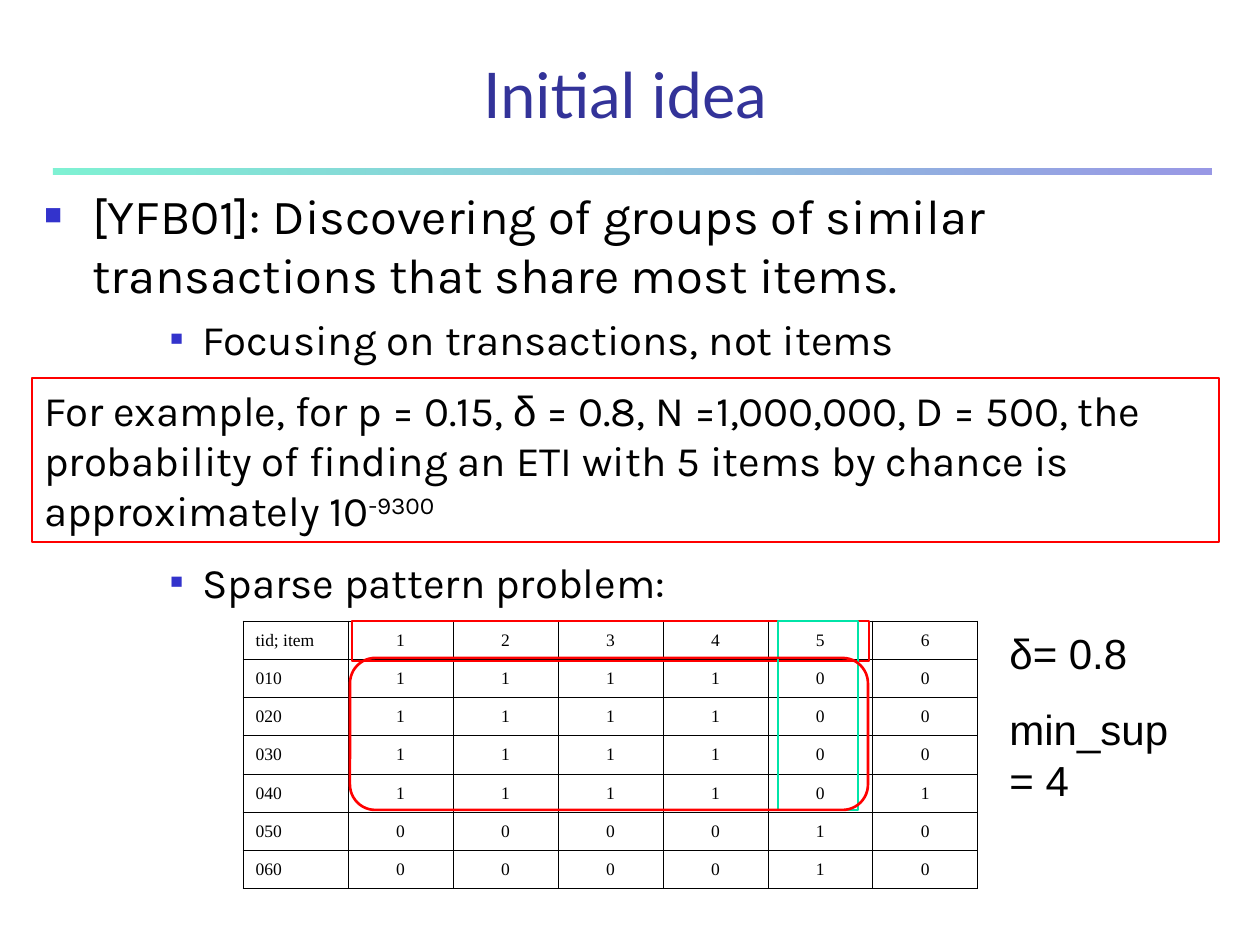
from lxml import etree
from pptx import Presentation
from pptx.dml.color import RGBColor
from pptx.enum.shapes import MSO_SHAPE
from pptx.enum.text import MSO_ANCHOR, MSO_AUTO_SIZE, PP_ALIGN
from pptx.oxml.ns import qn
from pptx.util import Pt

SCALE = 914400 / 126
RECTANGLE = MSO_SHAPE.RECTANGLE
ROUNDED = MSO_SHAPE.ROUNDED_RECTANGLE
LEFT, CENTER = PP_ALIGN.LEFT, PP_ALIGN.CENTER
TOP, MIDDLE, BOTTOM = MSO_ANCHOR.TOP, MSO_ANCHOR.MIDDLE, MSO_ANCHOR.BOTTOM
NO_FIT, GROW = MSO_AUTO_SIZE.NONE, MSO_AUTO_SIZE.SHAPE_TO_FIT_TEXT

BLACK = RGBColor(0x00, 0x00, 0x00)
RED = RGBColor(0xFF, 0x00, 0x00)
GREEN = RGBColor(0x00, 0xE4, 0xA8)
BLUE = RGBColor(0x33, 0x33, 0xCC)
INDIGO = RGBColor(0x33, 0x33, 0x99)

# text, size, left margin px, hanging px, bullet percent, space before pt
BULLETS = [
    ("[YFB01]: Discovering of groups of similar transactions that share most items.",
     28, 48, 48, 60, 0),
    ("Focusing on transactions, not items", 24, 158, 32, 50, 6),
    ("Sparse pattern problem:", 24, 158, 32, 50, 110),
]
TRANSACTIONS = [
    ("tid; item", *"123456"),
    ("010", *"111100"),
    ("020", *"111100"),
    ("030", *"111100"),
    ("040", *"111101"),
    ("050", *"000010"),
    ("060", *"000010"),
]
EXAMPLE = [
    ("For example, for p = 0.15, ", "Karla"),
    ("δ", "Arial"),
    (" = 0.8, N =1,000,000, D = 500, the probability of finding an ETI with 5 items "
     "by chance is approximately 10", "Karla"),
    ("-9300", "Karla"),
]


def px(length):
    return round(length * SCALE)


def emu(box):
    return [px(length) for length in box]


def style(font, name, size, color=BLACK):
    font.name, font.size, font.color.rgb = name, Pt(size), color


def add_outline(page, kind, box, color, width):
    shape = page.shapes.add_shape(kind, *emu(box))
    shape.shadow.inherit = False
    shape.fill.background()
    shape.line.color.rgb = color
    shape.line.width = Pt(width)
    return shape


def add_rule(page, box):
    rule = page.shapes.add_shape(RECTANGLE, *emu(box))
    rule.shadow.inherit = False
    rule.line.fill.background()
    rule.fill.gradient()
    rule.fill.gradient_angle = 0
    for stop, color in zip(rule.fill.gradient_stops, (GREEN, BLUE)):
        stop.color.rgb = color
    for color in rule.element.spPr.iter(qn("a:srgbClr")):
        etree.SubElement(color, qn("a:alpha"), val="50000")


def place_title(page, box, text):
    title = page.shapes.title
    title.left, title.top, title.width, title.height = emu(box)
    frame = title.text_frame
    frame.text = text
    frame.auto_size = NO_FIT
    frame.vertical_anchor = BOTTOM
    para = frame.paragraphs[0]
    para.alignment = CENTER
    style(para.runs[0].font, "Lato", 36, INDIGO)


def set_bullet(para, margin, hanging, percent):
    props = para._p.get_or_add_pPr()
    props.set("marL", str(px(margin)))
    props.set("indent", str(-px(hanging)))
    color = etree.SubElement(props, qn("a:buClr"))
    etree.SubElement(color, qn("a:srgbClr"), val=str(BLUE))
    etree.SubElement(props, qn("a:buSzPct"), val=str(percent * 1000))
    etree.SubElement(props, qn("a:buFont"), typeface="Arial")
    etree.SubElement(props, qn("a:buChar"), char="■")


def add_bullets(page, box):
    frame = page.shapes.add_textbox(*emu(box)).text_frame
    frame.word_wrap = True
    for index, (text, size, margin, hanging, percent, before) in enumerate(BULLETS):
        para = frame.add_paragraph() if index else frame.paragraphs[0]
        para.text = text
        para.level = 2 if index else 0
        set_bullet(para, margin, hanging, percent)
        para.space_before = Pt(before)
        style(para.runs[0].font, "Karla", size)


def set_borders(cell):
    props = cell._tc.get_or_add_tcPr()
    for side in ("a:lnL", "a:lnR", "a:lnT", "a:lnB"):
        line = etree.SubElement(props, qn(side), w=str(Pt(0.45)))
        fill = etree.SubElement(line, qn("a:solidFill"))
        etree.SubElement(fill, qn("a:srgbClr"), val=str(BLACK))


def add_transactions(page, box):
    """Draw the transaction table and the outlines that mark its pattern."""
    left, top, width, height = box
    rows, columns = len(TRANSACTIONS), len(TRANSACTIONS[0])
    table = page.shapes.add_table(rows, columns, *emu(box)).table
    table.first_row = table.horz_banding = False
    for row, values in enumerate(TRANSACTIONS):
        for column, value in enumerate(values):
            cell = table.cell(row, column)
            cell.text = value
            cell.vertical_anchor = MIDDLE
            set_borders(cell)
            cell.fill.background()
            para = cell.text_frame.paragraphs[0]
            para.alignment = CENTER if column else LEFT
            style(para.runs[0].font, "Times New Roman", 10)

    add_outline(page, RECTANGLE, (left + 109, top, 517, 40), RED, 1.5)
    add_outline(page, RECTANGLE, (left + 535, top, 80, 189), GREEN, 1.5)
    add_outline(page, ROUNDED, (left + 107, top + 37, 518, 152), RED, 1.5)


def add_parameters(page, box):
    frame = page.shapes.add_textbox(*emu(box)).text_frame
    frame.word_wrap = True
    frame.auto_size = GROW
    frame.text = "δ= 0.8\nmin_sup = 4"
    for para in frame.paragraphs:
        style(para.runs[0].font, "Arial", 24)
    frame.paragraphs[1].space_before = Pt(15)


def add_example(page, box):
    frame = add_outline(page, RECTANGLE, box, RED, 0.75).text_frame
    frame.word_wrap = True
    frame.auto_size = GROW
    frame.vertical_anchor = TOP
    para = frame.paragraphs[0]
    para.alignment = LEFT
    for text, name in EXAMPLE:
        span = para.add_run()
        span.text = text
        style(span.font, name, 24)
    span._r.get_or_add_rPr().set("baseline", "30000")


def main():
    deck = Presentation()
    deck.slide_width, deck.slide_height = px(1260), px(945)
    page = deck.slides.add_slide(deck.slide_layouts[5])
    add_rule(page, (53, 168, 1159, 7))
    place_title(page, (53, 53, 1144, 84), "Initial idea")
    add_bullets(page, (32, 179, 1176, 714))
    add_transactions(page, (243, 621, 735, 268))
    add_parameters(page, (997, 621, 208, 190))
    add_example(page, (32, 378, 1187, 164))
    deck.save("out.pptx")


if __name__ == "__main__":
    main()
